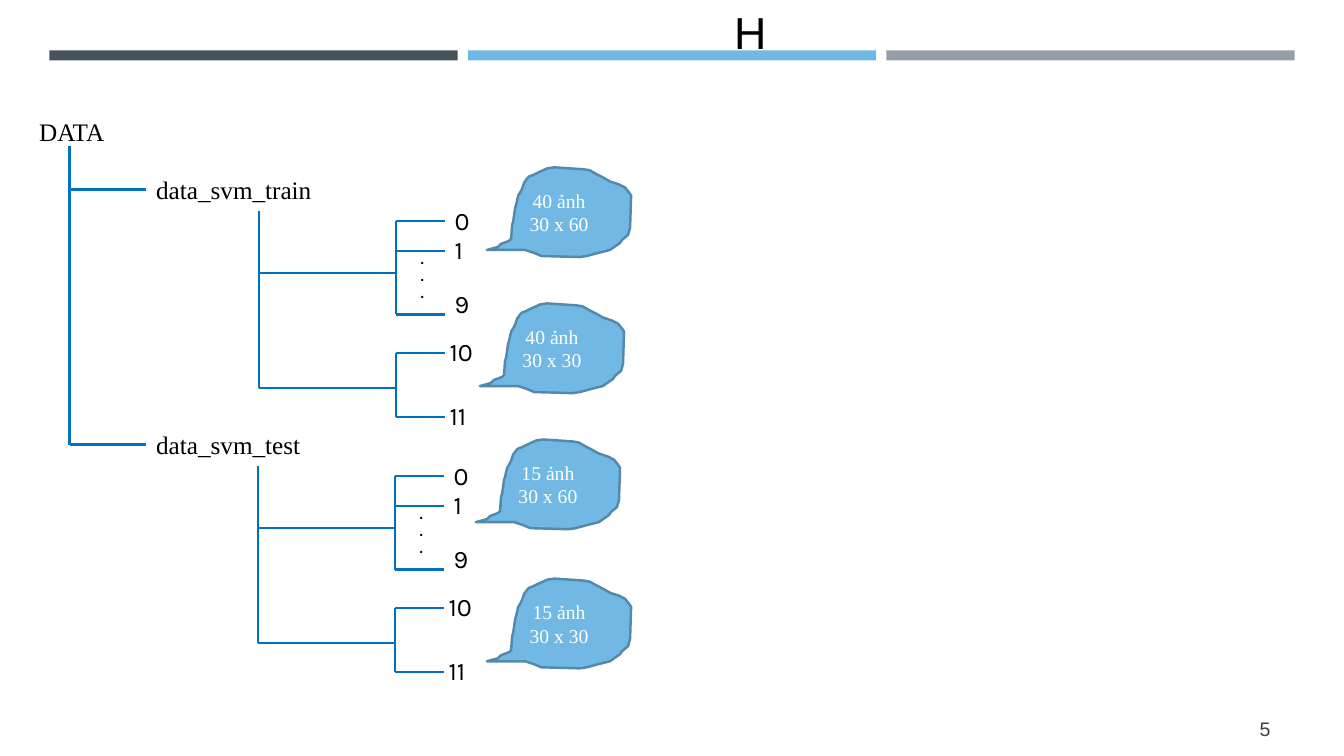
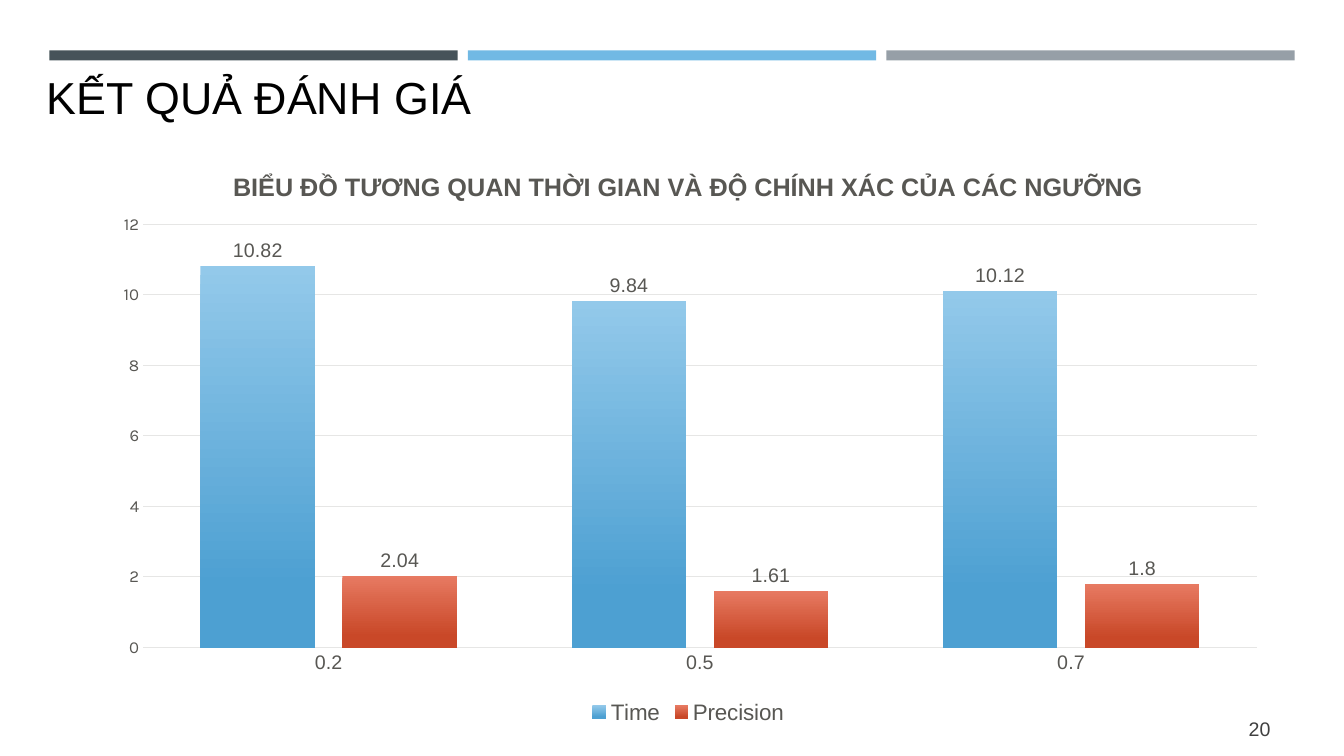
"""Build two slides: a data folder tree and a chart of time against precision."""
from dataclasses import dataclass

from pptx import Presentation
from pptx import util as u
from pptx.chart.data import CategoryChartData
from pptx.dml.color import RGBColor
from pptx.enum import chart as charts, shapes, text
from pptx.oxml import parse_xml
from pptx.oxml.ns import nsdecls, qn


@dataclass
class Theme:
    dark: str = "465359"
    sky: str = "71B9E4"
    gray: str = "969FA7"
    black: str = "000000"
    white: str = "FFFFFF"
    page: str = "404040"
    tree: str = "0070C0"
    edge: str = "5489A9"
    label: str = "585753"
    grid: str = "E6E6E5"
    time: tuple = ("93C9EA", "4DA0D2")
    score: tuple = ("E77A62", "C94828")
    sans: str = "Arial"
    serif: str = "Times New Roman"
    round: str = "Karla"
    title: int = 32
    body: int = 18
    legend: int = 16
    note: int = 14
    axis: int = 12
    dot: int = 10


look = Theme()
rgb = RGBColor.from_string
left, mid, right = text.PP_ALIGN.LEFT, text.PP_ALIGN.CENTER, text.PP_ALIGN.RIGHT


def write(frame, lines, size, face, color, align=left, bold=False):
    frame.word_wrap = True
    for i, words in enumerate(lines):
        para = frame.add_paragraph() if i else frame.paragraphs[0]
        para.alignment = align
        run = para.add_run()
        run.text = words
        run.font.size, run.font.name = u.Pt(size), face
        run.font.bold = bold
        run.font.color.rgb = rgb(color)


def line(slide, *ends):
    wire = slide.shapes.add_connector(
        shapes.MSO_CONNECTOR.STRAIGHT, *[u.Inches(n) for n in ends])
    wire.line.color.rgb = rgb(look.tree)
    wire.line.width = u.Pt(1.5)
    wire.element.spPr.append(parse_xml(f"<a:effectLst {nsdecls('a')}/>"))


deck = Presentation()
deck.slide_width, deck.slide_height = u.Inches(13.33), u.Inches(7.5)

pages = []
for head, box, number in [
    ("H", (7.18, 0, 6.4, 0.64), "5"),
    ("KẾT QUẢ ĐÁNH GIÁ", (0.36, 0.64, 10.64, 0.64), "20"),
]:
    slide = deck.slides.add_slide(deck.slide_layouts[5])
    for i, color in enumerate([look.dark, look.sky, look.gray]):
        band = slide.shapes.add_shape(
            shapes.MSO_SHAPE.RECTANGLE, u.Inches(0.49 + 4.15 * i),
            u.Inches(0.5), u.Inches(4.05), u.Inches(0.1))
        band.shadow.inherit = False
        band.fill.solid()
        band.fill.fore_color.rgb = rgb(color)
        band.line.fill.background()
    title = slide.shapes.title
    title.left, title.top, title.width, title.height = map(u.Inches, box)
    title.text_frame.auto_size = text.MSO_AUTO_SIZE.NONE
    title.text_frame.vertical_anchor = text.MSO_ANCHOR.TOP
    write(title.text_frame, [head], look.title, look.sans, look.black)
    page = slide.shapes.add_textbox(
        *map(u.Inches, (11.55, 7.03, 1.15, 0.4))).text_frame
    page.vertical_anchor = text.MSO_ANCHOR.MIDDLE
    write(page, [number], look.note, look.sans, look.page, right)
    pages.append(slide)

tree, result = pages

labels = [("DATA", 0.29, 1.11, 1.8, look.serif)]
line(tree, 0.69, 1.45, 0.69, 4.41)
for name, x, y in [("data_svm_train", 0, 1.68), ("data_svm_test", -0.01, 4.21)]:
    stem, spine = 2.57 + x, 3.93 + x
    line(tree, 0.69, y + 0.2, 1.45, y + 0.2)
    line(tree, stem, y + 0.41, stem, y + 2.17)
    for arm in (1.03, 2.17):
        line(tree, stem, y + arm, spine, y + arm)
    for top, end in [(0.51, 1.44), (1.82, 2.46)]:
        line(tree, spine, y + top, spine, y + end)
    for tick in (0.51, 0.81, 1.44, 1.82, 2.46):
        line(tree, spine, y + tick, spine + 0.48, y + tick)
    labels.append((name, 1.45, y, 2.25, look.serif))
    for leaf, dx, dy in [("0", 4.41, 0.31), ("1", 4.41, 0.6), ("9", 4.41, 1.13),
                         ("10", 4.36, 1.61), ("11", 4.36, 2.24)]:
        labels.append((leaf, dx + x, y + dy, 1.12, look.round))
    dots = tree.shapes.add_textbox(
        *map(u.Inches, (4.07 + x, y + 0.76, 0.58, 0.61)))
    write(dots.text_frame, "...", look.dot, look.sans, look.black, bold=True)

for name, x, y, wide, face in labels:
    box = tree.shapes.add_textbox(*map(u.Inches, (x, y, wide, 0.4)))
    write(box.text_frame, [name], look.body, face, look.black)

cloud = [
    (0, 82), (11, 79), (14, 76), (22, 73), (24, 71), (25, 57), (26, 54),
    (28, 40), (29, 37), (31, 28), (33, 25), (35, 21), (37, 15), (40, 11),
    (42, 9), (45, 8), (51, 5), (60, 1), (67, 0), (96, 2), (102, 3), (109, 7),
    (115, 10), (122, 14), (131, 17), (137, 20), (141, 25), (143, 28),
    (142, 60), (140, 67), (134, 72), (132, 75), (122, 82), (110, 85),
    (99, 88), (92, 89), (54, 88), (47, 85), (41, 83), (38, 82), (7, 82),
]
for x, y, lines in [
    (4.83, 1.66, ("40 ảnh", "30 x 60")),
    (4.76, 3.01, ("40 ảnh", "30 x 30")),
    (4.72, 4.36, ("15 ảnh", "30 x 60")),
    (4.83, 5.74, ("15 ảnh", "30 x 30")),
]:
    pen = tree.shapes.build_freeform(*cloud[0], scale=u.Inches(0.01))
    pen.add_line_segments(cloud[1:], close=True)
    blob = pen.convert_to_shape(u.Inches(x), u.Inches(y))
    blob.shadow.inherit = False
    blob.fill.solid()
    blob.fill.fore_color.rgb = rgb(look.sky)
    blob.line.color.rgb = rgb(look.edge)
    blob.line.width = u.Pt(1.75)
    blob.text_frame.vertical_anchor = text.MSO_ANCHOR.MIDDLE
    write(blob.text_frame, lines, look.note, look.serif, look.white, mid)

data = CategoryChartData()
data.categories = ["0.2", "0.5", "0.7"]
data.add_series("Time", (10.82, 9.84, 10.12))
data.add_series("Precision", (2.04, 1.61, 1.8))
chart = result.shapes.add_chart(
    charts.XL_CHART_TYPE.COLUMN_CLUSTERED,
    *map(u.Inches, (0.95, 1.48, 11.75, 5.75)), data).chart
chart.has_title = True
write(chart.chart_title.text_frame,
      ["BIỂU ĐỒ TƯƠNG QUAN THỜI GIAN VÀ ĐỘ CHÍNH XÁC CỦA CÁC NGƯỠNG"],
      look.body, look.sans, look.label, mid, True)
chart.has_legend = True
chart.legend.position = charts.XL_LEGEND_POSITION.BOTTOM
chart.legend.include_in_layout = False

cats, vals = chart.category_axis, chart.value_axis
vals.minimum_scale, vals.maximum_scale, vals.major_unit = 0, 12, 2
for axis in (cats, vals):
    axis.major_tick_mark = axis.minor_tick_mark = charts.XL_TICK_MARK.NONE
vals.format.line.fill.background()
for rule in (cats.format.line, vals.major_gridlines.format.line):
    rule.color.rgb = rgb(look.grid)
    rule.width = u.Pt(0.75)

plot = chart.plots[0]
plot.gap_width, plot.overlap, plot.vary_by_categories = 100, -24, False
plot.has_data_labels = True
tags = plot.data_labels
tags.show_value = True
tags.position = charts.XL_LABEL_POSITION.OUTSIDE_END
for font, size, face in [
    (chart.legend.font, look.legend, look.sans),
    (cats.tick_labels.font, look.note, look.sans),
    (vals.tick_labels.font, look.axis, look.round),
    (tags.font, look.note, look.sans),
]:
    font.size, font.name = u.Pt(size), face
    font.color.rgb = rgb(look.label)

for series, shades in zip(plot.series, (look.time, look.score)):
    fill = series.format.fill
    fill.gradient()
    fill.gradient_angle = 270
    for stop, shade, place in zip(fill.gradient_stops, shades, (0, 0.84)):
        stop.color.rgb = rgb(shade)
        stop.position = place

area = chart.element.find(".//" + qn("c:plotArea"))
for old in area.findall(qn("c:layout")):
    area.remove(old)
area.insert(0, parse_xml(
    f"<c:layout {nsdecls('c')}><c:manualLayout>"
    '<c:layoutTarget val="inner"/><c:xMode val="edge"/><c:yMode val="edge"/>'
    '<c:x val="0.04"/><c:y val="0.13"/><c:w val="0.94"/><c:h val="0.73"/>'
    "</c:manualLayout></c:layout>"))

deck.save("out.pptx")
